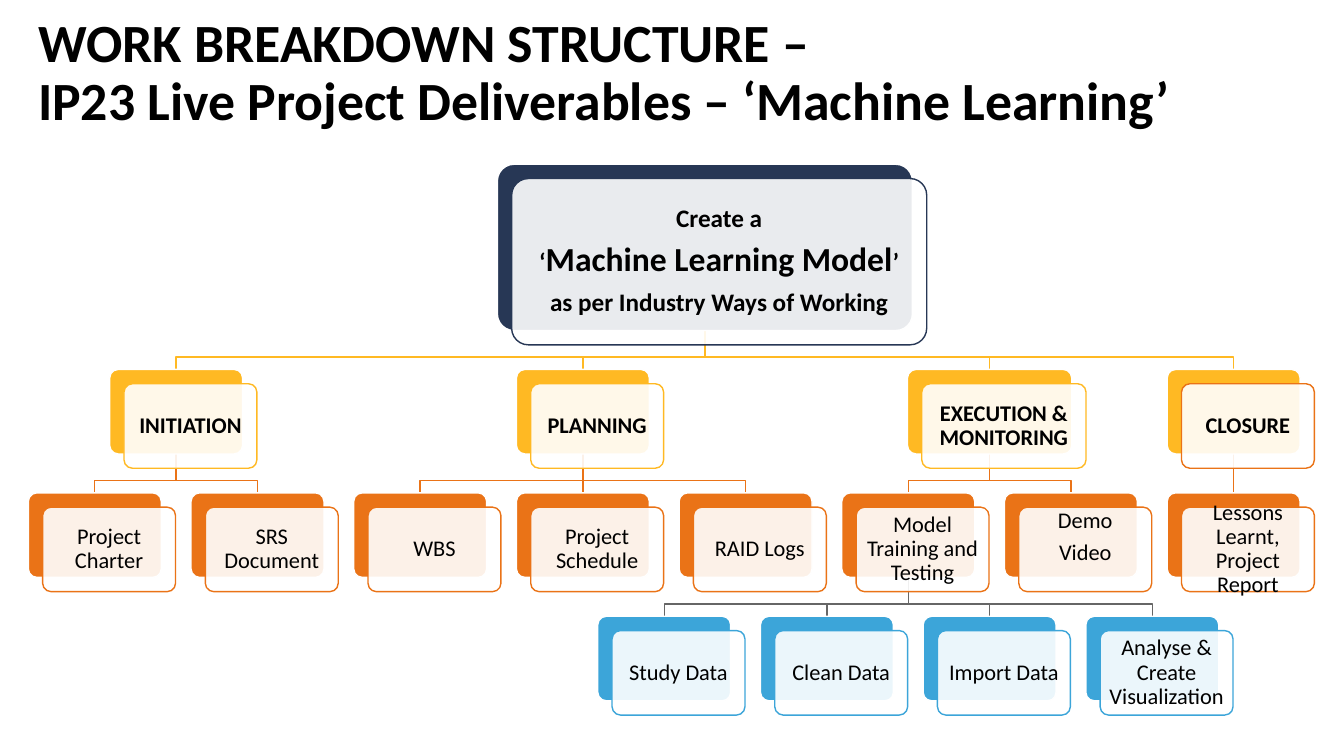
import dataclasses

import lxml.etree
import pptx
import pptx.dml.color
import pptx.enum.shapes
import pptx.enum.text
import pptx.oxml.ns
import pptx.util

Cm = pptx.util.Cm
Pt = pptx.util.Pt
RGBColor = pptx.dml.color.RGBColor

BLACK = RGBColor(0x00, 0x00, 0x00)
WHITE = RGBColor(0xFF, 0xFF, 0xFF)
NAVY = RGBColor(0x27, 0x37, 0x55)
YELLOW = RGBColor(0xFF, 0xB9, 0x23)
ORANGE = RGBColor(0xEA, 0x73, 0x17)
BLUE = RGBColor(0x3C, 0xA5, 0xD9)
GREY = RGBColor(0x66, 0x66, 0x66)

FIRST_CENTRE = 2.39
SLOT_PITCH = 4.10
LEVEL_GAP = 0.98
BEND_GAP = 0.31
CARD_OFFSET = 0.36
SIDE_INSET = 0.13
END_INSET = 0.18


@dataclasses.dataclass
class Node:
    paras: list
    slot: float
    color: RGBColor
    children: tuple = ()
    branch: RGBColor = ORANGE
    outline: RGBColor = None
    width: float = 3.35
    height: float = 2.13
    bold: bool = False
    lift: float = 0

    @property
    def centre(self):
        return FIRST_CENTRE + SLOT_PITCH * self.slot


def deliverable(slot, *lines, color=ORANGE, **options):
    return Node([[(line, 16)] for line in lines], slot, color, **options)


def phase(slot, title, *children, **options):
    return Node([[(title, 16)]], slot, YELLOW, children, bold=True, **options)


def add_text(p, text, size=16, bold=False, color=BLACK):
    for i, line in enumerate(text.split("\v")):
        if i:
            p.add_line_break()
        r = p.add_run()
        r.text = line
        r.font.name = "Calibri"
        r.font.size = Pt(size)
        r.font.bold = bold
        r.font.color.rgb = color


def add_title(s, text):
    tf = s.shapes.add_textbox(Cm(0.71), Cm(0.03), Cm(29.21), Cm(3.68)).text_frame
    tf.word_wrap = True
    tf.vertical_anchor = pptx.enum.text.MSO_ANCHOR.MIDDLE
    tf.paragraphs[0].line_spacing = 0.9
    add_text(tf.paragraphs[0], text, size=38.4, bold=True)


def add_card(s, x, y, node, fill, line):
    kind = pptx.enum.shapes.MSO_SHAPE.ROUNDED_RECTANGLE
    sp = s.shapes.add_shape(kind, Cm(x), Cm(y), Cm(node.width), Cm(node.height))
    sp.shadow.inherit = False
    sp.adjustments[0] = 0.1
    sp.fill.solid()
    sp.fill.fore_color.rgb = fill
    sp.line.color.rgb = line
    sp.line.width = Pt(1)
    return sp


def set_opacity(sp, percent):
    qn = pptx.oxml.ns.qn
    color = sp._element.spPr.find(qn("a:solidFill")).find(qn("a:srgbClr"))
    lxml.etree.SubElement(color, qn("a:alpha"), val=str(percent * 1000))


def fill_card(sp, node):
    tf = sp.text_frame
    tf.word_wrap = True
    tf.vertical_anchor = pptx.enum.text.MSO_ANCHOR.MIDDLE
    tf.margin_left = tf.margin_right = Cm(SIDE_INSET)
    tf.margin_top = Cm(END_INSET)
    tf.margin_bottom = Cm(END_INSET + node.lift)
    for i, runs in enumerate(node.paras):
        p = tf.add_paragraph() if i else tf.paragraphs[0]
        p.alignment = pptx.enum.text.PP_ALIGN.CENTER
        p.line_spacing = 0.9
        p.space_after = Pt(0.35 * max(size for _, size in runs))
        for text, size in runs:
            add_text(p, text, size=size, bold=node.bold)


def add_branch(s, x1, y1, x2, y2, color):
    if x1 == x2:
        kind = pptx.enum.shapes.MSO_CONNECTOR.STRAIGHT
        sp = s.shapes.add_connector(kind, Cm(x1), Cm(y1), Cm(x2), Cm(y2))
        lxml.etree.SubElement(sp._element.spPr, pptx.oxml.ns.qn("a:effectLst"))
    else:
        bend = Cm(y2 - BEND_GAP)
        builder = s.shapes.build_freeform(Cm(x1), Cm(y1))
        points = [(Cm(x1), bend), (Cm(x2), bend), (Cm(x2), Cm(y2))]
        builder.add_line_segments(points, close=False)
        sp = builder.convert_to_shape()
        sp.shadow.inherit = False
        sp.fill.background()
    sp.line.color.rgb = color
    sp.line.width = Pt(1)


def draw_branches(s, node, top):
    bottom = top + node.height
    child_top = bottom + LEVEL_GAP
    for child in node.children:
        add_branch(s, node.centre, bottom, child.centre, child_top, node.branch)
        draw_branches(s, child, child_top)


def draw_cards(s, node, top):
    left = node.centre - node.width / 2
    add_card(s, left, top, node, node.color, WHITE)
    front = add_card(s, left + CARD_OFFSET, top + CARD_OFFSET, node,
                     WHITE, node.outline or node.color)
    set_opacity(front, 90)
    fill_card(front, node)
    for child in node.children:
        draw_cards(s, child, top + node.height + LEVEL_GAP)


def project_tree():
    task_names = ("Study Data", "Clean Data", "Import Data",
                  "Analyse & Create Visualization")
    tasks = tuple(deliverable(3.5 + i, name, color=BLUE)
                  for i, name in enumerate(task_names))
    phases = (
        phase(0.5, "INITIATION",
              deliverable(0, "Project Charter"),
              deliverable(1, "SRS Document")),
        phase(3, "PLANNING",
              deliverable(2, "WBS"),
              deliverable(3, "Project Schedule"),
              deliverable(4, "RAID Logs")),
        phase(5.5, "EXECUTION & MONITORING",
              deliverable(5, "Model Training and Testing",
                          children=tasks, branch=GREY),
              deliverable(6, "Demo", "Video", lift=0.6),
              width=4.14),
        phase(7, "CLOSURE",
              deliverable(7, "Lessons Learnt, Project Report"),
              outline=ORANGE),
    )
    goal = [[("Create a", 18)],
            [("‘", 18), ("Machine Learning Model", 24), ("’", 18)],
            [("as per Industry Ways of Working", 18)]]
    return Node(goal, 3.75, NAVY, phases, branch=YELLOW,
                width=10.46, height=4.19, bold=True)


def main():
    prs = pptx.Presentation()
    prs.slide_width = Cm(33.87)
    prs.slide_height = Cm(19.05)
    s = prs.slides.add_slide(prs.slide_layouts[6])
    add_title(s, "WORK BREAKDOWN STRUCTURE –\v"
                 "IP23 Live Project Deliverables – ‘Machine Learning’")
    root = project_tree()
    draw_branches(s, root, 4.14)
    draw_cards(s, root, 4.14)
    prs.save("out.pptx")


if __name__ == "__main__":
    main()
